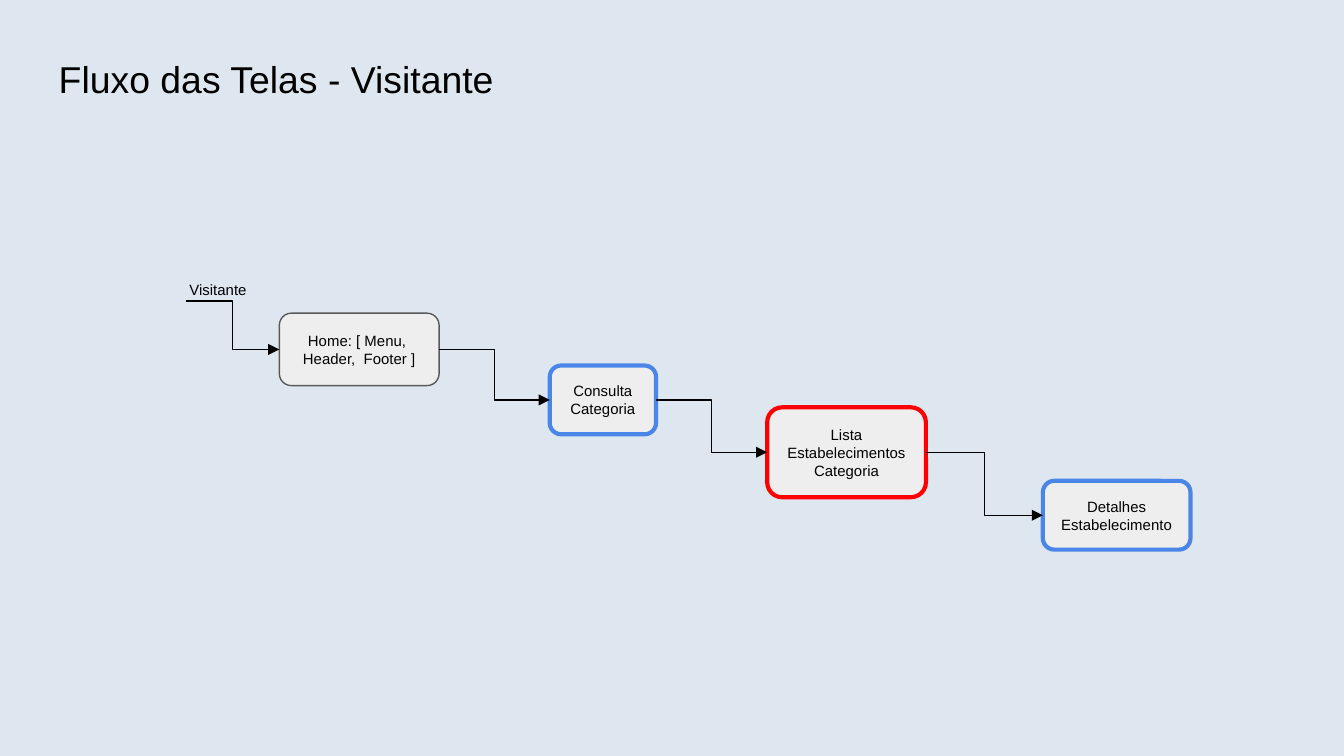
"""Build the visitor screen-flow slide."""
from dataclasses import dataclass

from lxml import etree
from pptx import Presentation
from pptx.dml.color import RGBColor
from pptx.enum.shapes import MSO_CONNECTOR, MSO_SHAPE
from pptx.enum.text import MSO_ANCHOR, PP_ALIGN
from pptx.oxml.ns import qn
from pptx.util import Cm, Pt

ROUNDED = MSO_SHAPE.ROUNDED_RECTANGLE
ELBOW = MSO_CONNECTOR.ELBOW
TOP, MIDDLE = MSO_ANCHOR.TOP, MSO_ANCHOR.MIDDLE
LEFT, CENTER = PP_ALIGN.LEFT, PP_ALIGN.CENTER
LEFT_SITE, RIGHT_SITE = 1, 3


@dataclass(frozen=True)
class Theme:
    font: str = "Arial"
    title_size: Pt = Pt(20)
    label_size: Pt = Pt(8)
    background: RGBColor = RGBColor(0xDE, 0xE6, 0xEF)
    text: RGBColor = RGBColor(0, 0, 0)
    box: RGBColor = RGBColor(0xEE, 0xEE, 0xEE)
    gray: RGBColor = RGBColor(0x59, 0x59, 0x59)
    blue: RGBColor = RGBColor(0x4A, 0x86, 0xE8)
    red: RGBColor = RGBColor(0xFF, 0, 0)


theme = Theme()


def write(sp, text, size, align, anchor, inset_y=0.25):
    tf = sp.text_frame
    tf.word_wrap = True
    tf.vertical_anchor = anchor
    tf.margin_left = tf.margin_right = Cm(0.25)
    tf.margin_top = tf.margin_bottom = Cm(inset_y)
    p = tf.paragraphs[0]
    p.text = text
    p.alignment = align
    p.font.name = theme.font
    p.font.size = size
    p.font.color.rgb = theme.text


prs = Presentation()
prs.slide_width, prs.slide_height = Cm(25.4), Cm(14.29)
s = prs.slides.add_slide(prs.slide_layouts[5])
s.background.fill.solid()
s.background.fill.fore_color.rgb = theme.background

title = s.shapes.title
title.left, title.top, title.width, title.height = Cm(0.86), Cm(0.81), Cm(23.67), Cm(1.6)
write(title, "Fluxo das Telas - Visitante", theme.title_size, LEFT, TOP)

visitor = s.shapes.add_textbox(Cm(3.33), Cm(5.18), Cm(1.68), Cm(0.71))
write(visitor, "Visitante", theme.label_size, LEFT, TOP, 0.13)

screens = [
    ("Home: [ Menu,  Header,  Footer ]", 5.28, 5.92, 3.02, 1.37, theme.gray, 0.75),
    ("Consulta Categoria", 10.39, 6.91, 2.01, 1.3, theme.blue, 2.25),
    ("Lista Estabelecimentos Categoria", 14.5, 7.7, 3, 1.7, theme.red, 2.25),
    ("Detalhes Estabelecimento", 19.71, 9.09, 2.79, 1.3, theme.blue, 2.25),
]
previous = None
for text, x, y, w, h, color, weight in screens:
    sp = s.shapes.add_shape(ROUNDED, Cm(x), Cm(y), Cm(w), Cm(h))
    sp.shadow.inherit = False
    sp.fill.solid()
    sp.fill.fore_color.rgb = theme.box
    sp.line.color.rgb = color
    sp.line.width = Pt(weight)
    write(sp, text, theme.label_size, CENTER, MIDDLE)

    arrow = s.shapes.add_connector(ELBOW, Cm(3.51), Cm(5.69), Cm(x), Cm(y + h / 2))
    if previous is not None:
        arrow.begin_connect(previous, RIGHT_SITE)
    arrow.end_connect(sp, LEFT_SITE)
    arrow.line.color.rgb = theme.text
    arrow.line.width = Pt(0.75)
    etree.SubElement(arrow.line._get_or_add_ln(), qn("a:tailEnd"), type="triangle")
    etree.SubElement(arrow._element.spPr, qn("a:effectLst"))
    previous = sp

prs.save("out.pptx")
